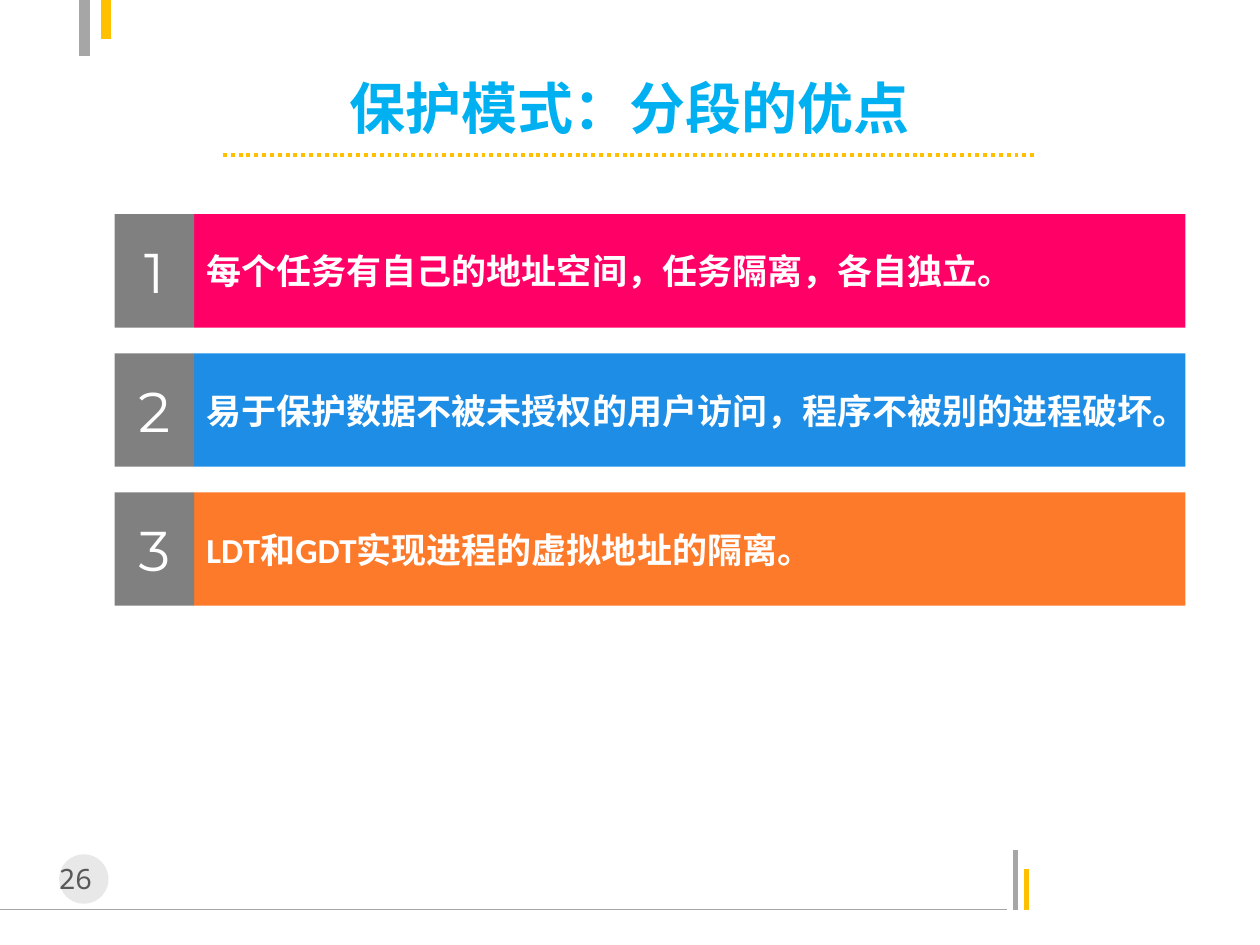
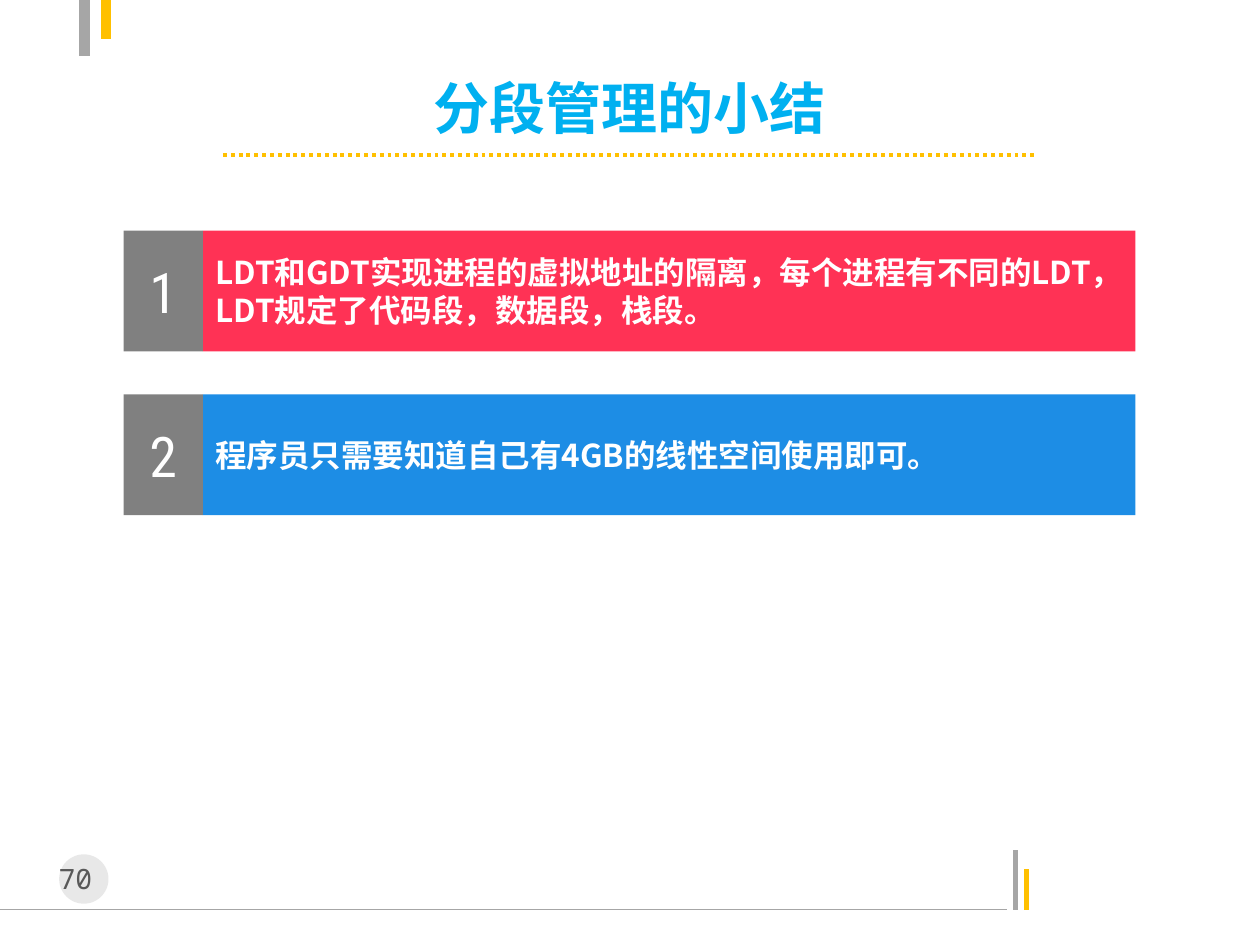
from lxml.etree import SubElement
from pptx import Presentation
from pptx.dml.color import RGBColor
from pptx.enum.dml import MSO_LINE
from pptx.enum.shapes import MSO_CONNECTOR, MSO_SHAPE
from pptx.enum.text import MSO_ANCHOR as ANCHOR, MSO_AUTO_SIZE, PP_ALIGN as ALIGN
from pptx.oxml.ns import qn
from pptx.util import Pt

SLIDES = [
    {
        "title": "保护模式：分段的优点", "page": "26",
        "left": 65.5, "top": 122.4, "width": 612, "height": 64.8, "pitch": 79.5,
        "number_font": "Montserrat", "text_font": "Calibri", "text_size": 20,
        "points": [
            ("每个任务有自己的地址空间，任务隔离，各自独立。", "FF0066"),
            ("易于保护数据不被未授权的用户访问，程序不被别的进程破坏。", "1D8DE5"),
            ("LDT和GDT实现进程的虚拟地址的隔离。", "FD7A2A"),
        ],
    },
    {
        "title": "分段管理的小结", "page": "70",
        "left": 70.6, "top": 131.8, "width": 578.2, "height": 69, "pitch": 93.6,
        "number_font": "Roboto Condensed", "text_font": "Noto Sans CJK SC", "text_size": 18,
        "points": [
            ("LDT和GDT实现进程的虚拟地址的隔离，每个进程有不同的LDT，"
             "LDT规定了代码段，数据段，栈段。", "FF3255"),
            ("程序员只需要知道自己有4GB的线性空间使用即可。", "1D8DE5"),
        ],
    },
]

CHINESE_FONT = "Noto Sans CJK SC"
PAGE_FONT = "Noto Sans Mono"
WHITE, GRAY, GOLD, TITLE_BLUE = "FFFFFF", "A6A6A6", "FFC000", "00B0F0"
NUMBER_GRAY, PAGE_GRAY, DISC_GRAY = "808080", "595959", "BFBFBF"
NUMBER_WIDTH = 45.4

# start x, start y, end x, end y, colour, weight
FRAME_LINES = [
    (0, 519.8, 575.3, 519.8, GRAY, 0.75),
    (580.3, 519.8, 580.3, 485.5, GRAY, 3),
    (586.8, 519.8, 586.8, 496.8, GOLD, 3),
    (48.2, 32, 48.2, 0, GRAY, 6),
    (60.5, 0, 60.5, 22.5, GOLD, 6),
]


def color(value):
    return RGBColor.from_string(value)


def write(shape, text, font, size, ink, bold=False, align=ALIGN.LEFT,
          anchor=ANCHOR.MIDDLE, wrap=True):
    frame = shape.text_frame
    frame.auto_size = MSO_AUTO_SIZE.NONE
    frame.word_wrap = wrap
    frame.vertical_anchor = anchor
    paragraph = frame.paragraphs[0]
    paragraph.alignment = align
    run = paragraph.add_run()
    run.text = text
    run.font.name = font
    run.font.size = Pt(size)
    run.font.bold = bold
    run.font.color.rgb = color(ink)
    SubElement(run.font._element, qn("a:ea"), typeface=CHINESE_FONT)


def add_line(slide, x1, y1, x2, y2, ink, weight, dash=None):
    line = slide.shapes.add_connector(
        MSO_CONNECTOR.STRAIGHT, Pt(x1), Pt(y1), Pt(x2), Pt(y2))
    line.line.color.rgb = color(ink)
    line.line.width = Pt(weight)
    if dash:
        line.line.dash_style = dash
    SubElement(line._element.spPr, qn("a:effectLst"))


def add_block(slide, kind, left, top, width, height, fill):
    shape = slide.shapes.add_shape(kind, Pt(left), Pt(top), Pt(width), Pt(height))
    shape.shadow.inherit = False
    shape.fill.solid()
    shape.fill.fore_color.rgb = color(fill)
    shape.line.fill.background()
    return shape


def add_frame(slide, page):
    """Draw the corner bars, the footer rule and the page number."""
    for line in FRAME_LINES:
        add_line(slide, *line)
    disc = add_block(slide, MSO_SHAPE.OVAL, 33.8, 488.2, 28.2, 28.2, DISC_GRAY)
    disc_color = disc._element.spPr.find(qn("a:solidFill"))[0]
    SubElement(disc_color, qn("a:alpha"), val="35000")
    box = slide.shapes.add_textbox(Pt(22.3), Pt(488.9), Pt(51.1), Pt(26.6))
    write(box, page + " ", PAGE_FONT, 16, PAGE_GRAY, align=ALIGN.CENTER, anchor=ANCHOR.TOP)


def add_title(slide, text):
    title = slide.shapes.title
    title.left, title.top, title.width, title.height = Pt(99), Pt(43.2), Pt(522), Pt(36)
    write(title, text, CHINESE_FONT, 32, TITLE_BLUE, bold=True,
          align=ALIGN.CENTER, wrap=False)
    add_line(slide, 127.4, 88.6, 592.6, 88.6, GOLD, 2.25, MSO_LINE.ROUND_DOT)


def add_points(slide, content):
    left, height = content["left"], content["height"]
    for index, (text, fill) in enumerate(content["points"]):
        top = content["top"] + index * content["pitch"]
        bar = add_block(slide, MSO_SHAPE.RECTANGLE, left + NUMBER_WIDTH, top,
                        content["width"] - NUMBER_WIDTH, height, fill)
        write(bar, text, content["text_font"], content["text_size"], WHITE, bold=True)
        number = add_block(slide, MSO_SHAPE.RECTANGLE, left, top,
                           NUMBER_WIDTH, height, NUMBER_GRAY)
        write(number, str(index + 1), content["number_font"], 32, WHITE, align=ALIGN.CENTER)


def main():
    presentation = Presentation()
    presentation.slide_width, presentation.slide_height = Pt(720), Pt(540)
    title_only = presentation.slide_layouts[5]
    for content in SLIDES:
        slide = presentation.slides.add_slide(title_only)
        add_frame(slide, content["page"])
        add_title(slide, content["title"])
        add_points(slide, content)
    presentation.save("out.pptx")


if __name__ == "__main__":
    main()
